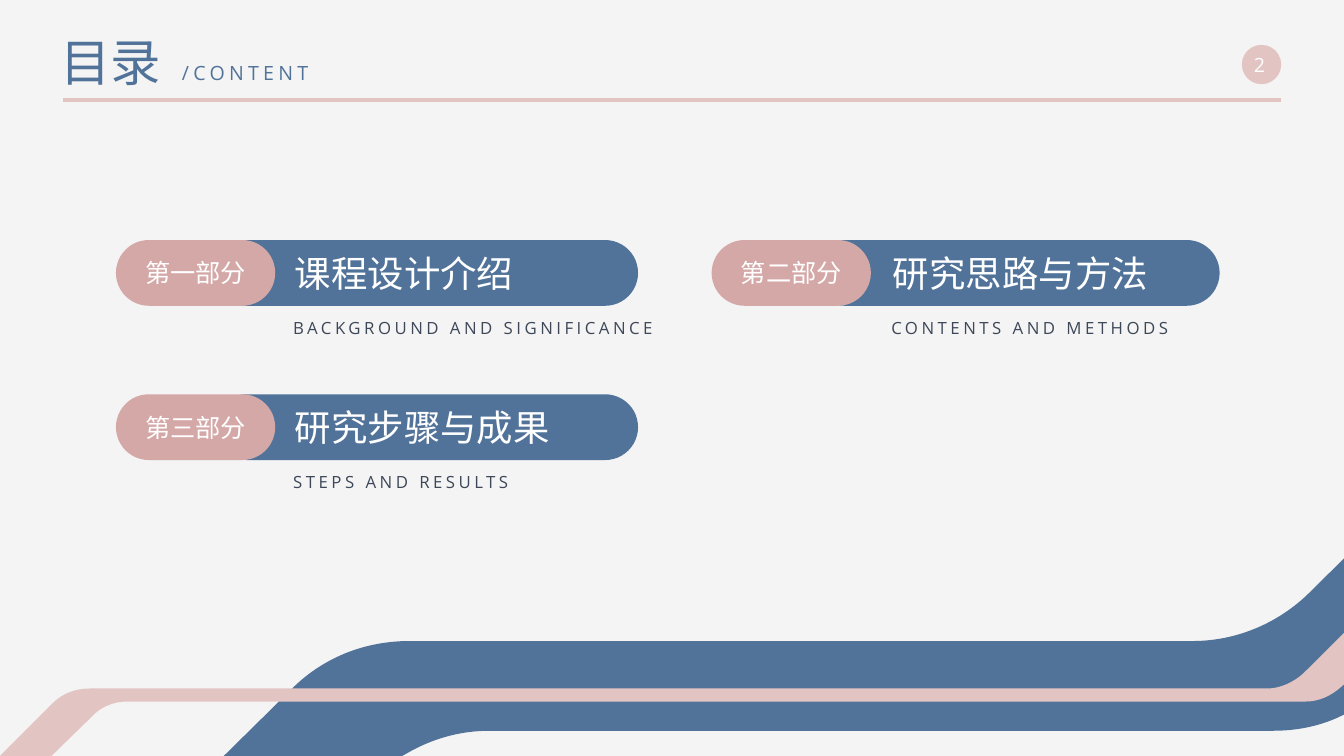
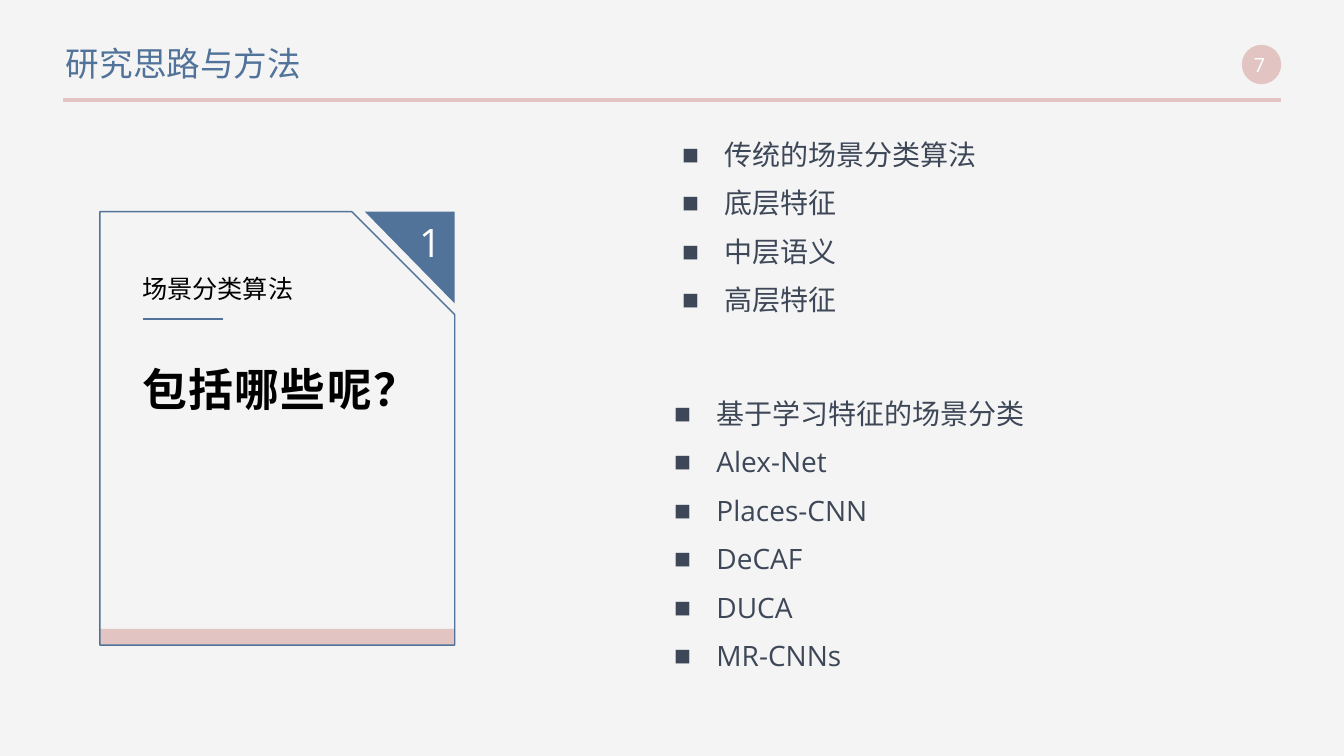
from lxml import etree
from pptx import Presentation
from pptx.dml.color import RGBColor
from pptx.enum.shapes import MSO_CONNECTOR, MSO_SHAPE
from pptx.enum.text import MSO_ANCHOR, MSO_AUTO_SIZE, PP_ALIGN
from pptx.oxml.ns import qn
from pptx.util import Emu, Inches, Pt

LEFT, CENTER, RIGHT = PP_ALIGN.LEFT, PP_ALIGN.CENTER, PP_ALIGN.RIGHT
TOP, MIDDLE = MSO_ANCHOR.TOP, MSO_ANCHOR.MIDDLE
RECTANGLE = MSO_SHAPE.RECTANGLE
PILL = MSO_SHAPE.ROUNDED_RECTANGLE
OVAL = MSO_SHAPE.OVAL
SNIPPED = MSO_SHAPE.SNIP_1_RECTANGLE
STRAIGHT = MSO_CONNECTOR.STRAIGHT

COLORS = {
    "paper": "F4F4F4",
    "blue": "517399",
    "pink": "E2C4C3",
    "rose": "D4A8A7",
    "slate": "3D4757",
    "white": "FFFFFF",
    "black": "000000",
}
LATIN, CHINESE = "Open Sans", "Noto Sans CJK SC"

WIDTH, HEIGHT = Inches(13.33), Inches(7.5)
COLUMN, ROW = WIDTH / 100, HEIGHT / 100
TITLE_ONLY, TWO_CONTENT = 5, 3

AGENDA_COLUMNS = [(8.63, 15.9, 31.58), (52.95, 60.4, 30.35)]
AGENDA_TOP, AGENDA_STEP, PILL_HEIGHT = 31.75, 20.4, 8.7
AGENDA = [
    ("第一部分", "课程设计介绍", "BACKGROUND AND SIGNIFICANCE"),
    ("第二部分", "研究思路与方法", "CONTENTS AND METHODS"),
    ("第三部分", "研究步骤与成果", "STEPS AND RESULTS"),
]

BLUE_RIBBON = [
    (100, 73.87), (100, 94.53), (99.53, 94.93),
    (98.03, 96.13, 96.38, 96.67, 94.73, 96.67), (36.45, 96.67),
    (34.35, 96.67, 32.4, 97.6, 30.6, 99.33), (29.93, 100),
    (16.65, 100), (21.6, 91.33),
    (23.93, 87.07, 27.08, 84.8, 30.45, 84.8), (88.73, 84.8),
    (92.03, 84.8, 95.18, 82.4, 97.5, 78.27),
]
PINK_RIBBON = [
    (100, 83.73), (100, 90.53), (99.83, 90.8),
    (99.08, 92, 98.18, 92.8, 97.13, 92.8), (9.45, 92.8),
    (8.48, 92.8, 7.5, 93.47, 6.83, 94.8), (3.83, 100),
    (0, 100), (3.98, 92.93),
    (4.65, 91.73, 5.63, 91.07, 6.68, 91.07), (94.28, 91.07),
    (95.25, 91.07, 96.23, 90.27, 96.98, 89.07),
]

CARD_LEFT, CARD_TOP, CARD_WIDTH, CARD_HEIGHT = 7.43, 28, 26.4, 57.33
STRIP_HEIGHT, CORNER_WIDTH, CORNER_HEIGHT = 2.13, 6.68, 12.13

TRADITIONAL = ["传统的场景分类算法", "底层特征", "中层语义", "高层特征"]
LEARNED = ["基于学习特征的场景分类", "Alex-Net", "Places-CNN", "DeCAF", "DUCA", "MR-CNNs"]


def color(name):
    return RGBColor.from_string(COLORS[name])


def across(columns):
    return Emu(round(columns * COLUMN))


def down(rows):
    return Emu(round(rows * ROW))


def grid(left, top, width, height):
    return across(left), down(top), across(width), down(height)


def style_paragraph(paragraph, size, ink, face=LATIN, align=LEFT, bold=False, spacing=0):
    paragraph.alignment = align
    font = paragraph.font
    font.size, font.name, font.bold = Pt(size), face, bold
    font.color.rgb = color(ink)
    properties = paragraph._p.get_or_add_pPr().get_or_add_defRPr()
    properties.set("spc", str(round(spacing * 100)))
    etree.SubElement(properties, qn("a:ea"), typeface=CHINESE)


def write(shape, text, size, ink, anchor=TOP, wrap=True, insets=None, **style):
    frame = shape.text_frame
    frame.text = text
    frame.word_wrap, frame.vertical_anchor = wrap, anchor
    frame.auto_size = MSO_AUTO_SIZE.NONE
    if insets:
        frame.margin_left, frame.margin_top, frame.margin_right, frame.margin_bottom = map(Inches, insets)
    for paragraph in frame.paragraphs:
        style_paragraph(paragraph, size, ink, **style)
    return shape


def paint(shape, fill=None, line=None):
    shape.shadow.inherit = False
    if fill:
        shape.fill.solid()
        shape.fill.fore_color.rgb = color(fill)
    else:
        shape.fill.background()
    if line:
        shape.line.color.rgb = color(line)
        shape.line.width = Pt(1)
    else:
        shape.line.fill.background()
    return shape


def add_preset(slide, preset, box, fill=None, line=None, adjustment=None):
    shape = paint(slide.shapes.add_shape(preset, *grid(*box)), fill, line)
    if adjustment is not None:
        shape.adjustments[0] = adjustment
    return shape


def add_label(slide, text, box, size, ink, **style):
    return write(slide.shapes.add_textbox(*grid(*box)), text, size, ink, wrap=False, **style)


def add_rule(slide, left, right, top, ink, weight):
    rule = slide.shapes.add_connector(STRAIGHT, across(left), down(top), across(right), down(top))
    rule.line.color.rgb = color(ink)
    rule.line.width = Pt(weight)
    etree.SubElement(rule._element.spPr, qn("a:effectLst"))
    return rule


def bend(shape, segments):
    steps = iter(list(shape._element.iter(qn("a:lnTo"))))
    for segment in segments[1:]:
        controls = [next(steps) for _ in range(len(segment) // 2)]
        if len(controls) == 3:
            curve = etree.Element(qn("a:cubicBezTo"))
            controls[0].addprevious(curve)
            for control in controls:
                curve.append(control[0])
                control.getparent().remove(control)


def add_outline(slide, segments, fill):
    vertices = [
        (across(segment[i]), down(segment[i + 1]))
        for segment in segments
        for i in range(0, len(segment), 2)
    ]
    builder = slide.shapes.build_freeform(*vertices[0])
    builder.add_line_segments(vertices[1:], close=True)
    shape = paint(builder.convert_to_shape(), fill)
    bend(shape, segments)
    return shape


def place(shape, box):
    shape.left, shape.top, shape.width, shape.height = grid(*box)
    return shape


def fill_list(placeholder, items, box):
    write(place(placeholder, box), "\n".join(items), 20, "slate")
    for paragraph in placeholder.text_frame.paragraphs:
        paragraph.line_spacing = 0.94
        paragraph.space_before, paragraph.space_after = Pt(10), Pt(2)
        properties = paragraph._p.get_or_add_pPr()
        properties.set("marL", str(Inches(0.42)))
        properties.set("indent", str(Inches(-0.42)))
        for tag, attribute, value in (("a:buFont", "typeface", "Arial"), ("a:buChar", "char", "■")):
            bullet = etree.Element(qn(tag))
            bullet.set(attribute, value)
            properties.get_or_add_defRPr().addprevious(bullet)


def move_backdrop_to_master(presentation, slide):
    backdrop = [
        add_preset(slide, RECTANGLE, (0, 0, 100, 100), "paper"),
        add_preset(slide, OVAL, (92.4, 5.93, 2.93, 5.2), "pink"),
        add_rule(slide, 4.7, 95.33, 13.2, "pink", 3),
    ]
    tree = presentation.slide_master.shapes._spTree
    for shape in backdrop:
        tree.insert_element_before(shape._element, "p:extLst")


def add_page(presentation, layout, number, title, box, size, anchor):
    slide = presentation.slides.add_slide(presentation.slide_layouts[layout])
    write(place(slide.shapes.title, box), title, size, "blue", anchor, wrap=False, face=CHINESE)
    add_label(slide, str(number), (91.65, 6.5, 4.13, 4), 14, "white", anchor=MIDDLE, align=CENTER)
    return slide


def add_agenda_item(slide, index, part, heading, subtitle):
    row, column = divmod(index, len(AGENDA_COLUMNS))
    part_left, bar_left, bar_width = AGENDA_COLUMNS[column]
    top = AGENDA_TOP + row * AGENDA_STEP
    bar = add_preset(slide, PILL, (bar_left, top, bar_width, PILL_HEIGHT), "blue", adjustment=0.5)
    write(bar, heading, 26, "white", MIDDLE, insets=(0.71, 0, 0, 0), face=CHINESE)
    pill = add_preset(slide, PILL, (part_left, top, 11.85, PILL_HEIGHT), "rose", adjustment=0.5)
    write(pill, part, 18, "white", MIDDLE, align=CENTER)
    add_label(slide, subtitle, (bar_left + 5.18, top + 9.58, 28.88, 4), 12, "slate", spacing=2.5)


def add_card(slide):
    right, bottom = CARD_LEFT + CARD_WIDTH, CARD_TOP + CARD_HEIGHT
    add_preset(slide, RECTANGLE, (CARD_LEFT, bottom - STRIP_HEIGHT, CARD_WIDTH, STRIP_HEIGHT), "pink")
    add_preset(slide, SNIPPED, (CARD_LEFT, CARD_TOP, CARD_WIDTH, CARD_HEIGHT), line="blue", adjustment=0.29)
    triangle = [(right, CARD_TOP), (right - CORNER_WIDTH, CARD_TOP), (right, CARD_TOP + CORNER_HEIGHT)]
    corner = add_outline(slide, triangle, "blue")
    write(corner, "1", 28, "white", insets=(0.13, 0.07, 0.13, 0.07), align=RIGHT)
    add_label(slide, "场景分类算法", (9.83, 35.47, 12.75, 5.33), 18, "black", face="Arial")
    question = add_label(slide, "包括哪些呢？", (9.85, 43.65, 21.23, 12.13), 32, "black", bold=True, spacing=1)
    question.text_frame.paragraphs[0].line_spacing = 1.5
    add_rule(slide, 10.65, 16.58, 42.2, "blue", 1.5)


def build_agenda(presentation):
    slide = add_page(presentation, TITLE_ONLY, 2, "目录", (3.75, 3.47, 9.08, 9.47), 36, TOP)
    move_backdrop_to_master(presentation, slide)
    add_label(slide, "/CONTENT", (12.8, 7.4, 11.25, 4.53), 14, "blue", spacing=3)
    add_outline(slide, BLUE_RIBBON, "blue")
    add_outline(slide, PINK_RIBBON, "pink")
    for index, item in enumerate(AGENDA):
        add_agenda_item(slide, index, *item)


def build_methods(presentation):
    slide = add_page(presentation, TWO_CONTENT, 7, "研究思路与方法", (4.15, 5.07, 21, 6.67), 24, MIDDLE)
    add_card(slide)
    fill_list(slide.placeholders[1], TRADITIONAL, (50, 17.87, 36.45, 28))
    fill_list(slide.placeholders[2], LEARNED, (49.4, 52.13, 36.45, 41.33))


def main():
    presentation = Presentation()
    presentation.slide_width, presentation.slide_height = WIDTH, HEIGHT
    build_agenda(presentation)
    build_methods(presentation)
    presentation.save("out.pptx")


if __name__ == "__main__":
    main()
